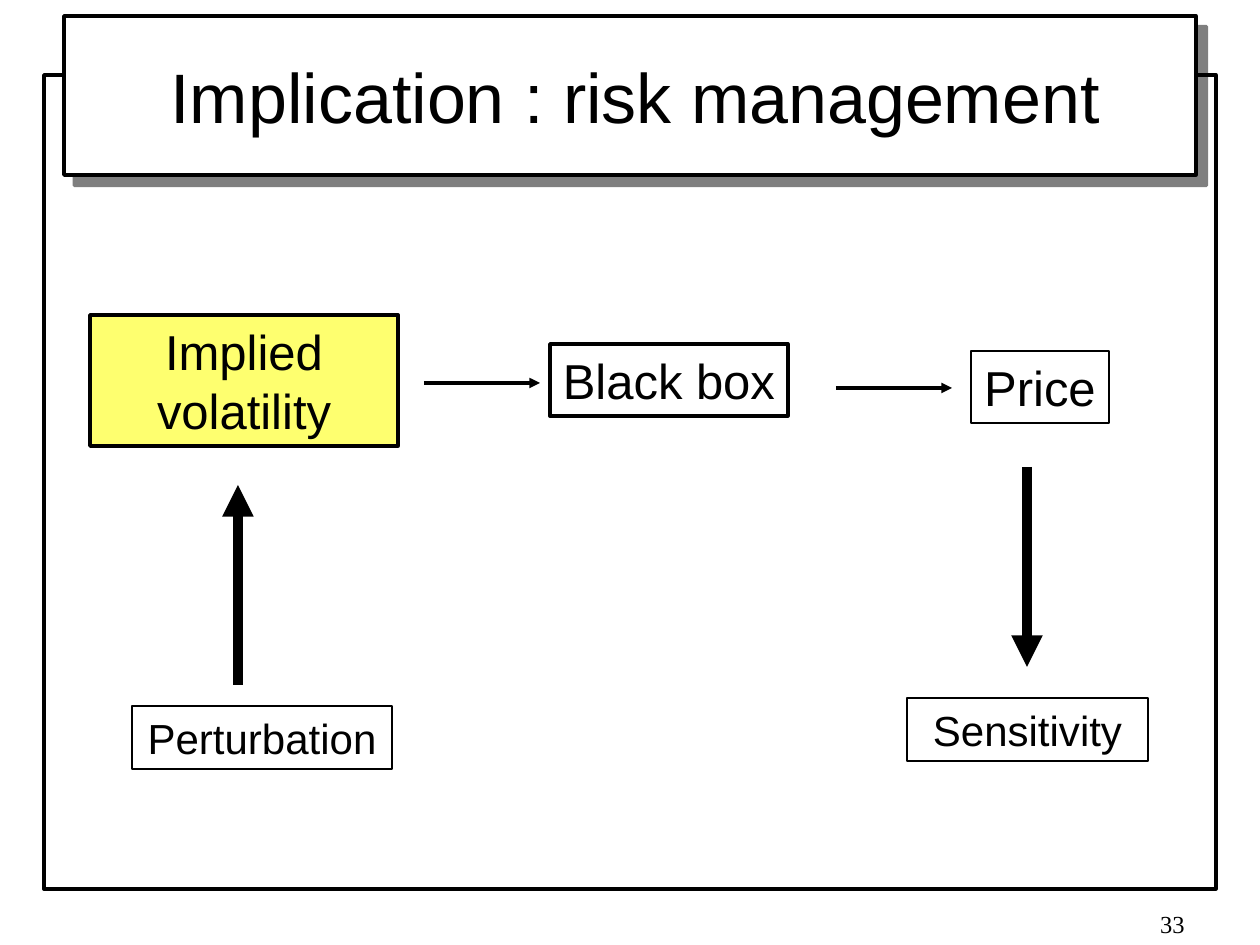
import pptx
import pptx.dml.color
import pptx.enum.shapes
import pptx.enum.text
import pptx.oxml
import pptx.oxml.ns
import pptx.util
import lxml.etree

BLACK = pptx.dml.color.RGBColor(0x00, 0x00, 0x00)
WHITE = pptx.dml.color.RGBColor(0xFF, 0xFF, 0xFF)
YELLOW = pptx.dml.color.RGBColor(0xFE, 0xFF, 0x6F)
ALIGN = pptx.enum.text.PP_ALIGN
ANCHOR = pptx.enum.text.MSO_ANCHOR
THIN, MID, THICK = 0.75, 2, 6


def emu(px):
    """Turn pixels into EMU."""
    return pptx.util.Emu(round(px * 914400 / 126))


class Deck:
    """Holds the style and the current slide."""

    def __init__(self, wide, high, font):
        """Start a deck with one blank slide."""
        self.font = font
        self.prs = pptx.Presentation()
        self.prs.slide_width = emu(wide)
        self.prs.slide_height = emu(high)
        self.slide = self.prs.slides.add_slide(self.prs.slide_layouts[6])

    def fill_text(self, shape, text, size, align=ALIGN.CENTER,
                  anchor=ANCHOR.TOP, font=None, wrap=True):
        """Put styled text in a shape."""
        frame = shape.text_frame
        frame.text = text
        frame.word_wrap = wrap
        frame.vertical_anchor = anchor
        para = frame.paragraphs[0]
        para.alignment = align
        style = para.runs[0].font
        style.name = font or self.font
        style.size = pptx.util.Pt(size)
        style.color.rgb = BLACK

    def rect(self, x, y, w, h, line, fill=None):
        """Draw an outlined rectangle."""
        shape = self.slide.shapes.add_shape(
            pptx.enum.shapes.MSO_SHAPE.RECTANGLE,
            emu(x), emu(y), emu(w), emu(h))
        shape.shadow.inherit = False
        if fill is None:
            shape.fill.background()
        else:
            shape.fill.solid()
            shape.fill.fore_color.rgb = fill
        shape.line.color.rgb = BLACK
        shape.line.width = pptx.util.Pt(line)
        return shape

    def shade(self, shape):
        """Cast a half-clear shadow down and right."""
        effects = shape._element.spPr.find(pptx.oxml.ns.qn("a:effectLst"))
        effects.append(pptx.oxml.parse_xml(
            '<a:outerShdw xmlns:a="http://schemas.openxmlformats.org/'
            'drawingml/2006/main" dist="107950" dir="2700000" algn="ctr" '
            'rotWithShape="0"><a:srgbClr val="000000">'
            '<a:alpha val="50000"/></a:srgbClr></a:outerShdw>'))

    def label(self, x, y, w, h, text, size, **style):
        """Add a text box."""
        box = self.slide.shapes.add_textbox(emu(x), emu(y), emu(w), emu(h))
        self.fill_text(box, text, size, **style)

    def arrow(self, x1, y1, x2, y2, line):
        """Draw a line with an arrowhead at its end."""
        link = self.slide.shapes.add_connector(
            pptx.enum.shapes.MSO_CONNECTOR.STRAIGHT,
            emu(x1), emu(y1), emu(x2), emu(y2))
        link.line.color.rgb = BLACK
        link.line.width = pptx.util.Pt(line)
        qn = pptx.oxml.ns.qn
        lxml.etree.SubElement(link.line._get_or_add_ln(), qn("a:tailEnd"),
                              type="triangle")
        lxml.etree.SubElement(link._element.spPr, qn("a:effectLst"))


def main():
    """Build the slide."""
    deck = Deck(1260, 945, "Arial")
    deck.rect(44, 75, 1172, 814, MID)
    deck.shade(deck.rect(64, 16, 1132, 159, MID, WHITE))
    deck.label(84, 16, 1102, 158, "Implication : risk management", 40,
               anchor=ANCHOR.MIDDLE)

    boxes = [
        (90, 315, 308, 131, "Implied volatility", 28, MID, YELLOW, True),
        (550, 344, 238, 72, "Black box", 28, MID, None, False),
        (971, 351, 138, 72, "Price", 28, THIN, None, False),
        (132, 706, 260, 63, "Perturbation", 24, THIN, None, True),
        (907, 698, 241, 63, "Sensitivity", 24, THIN, None, True),
    ]
    for x, y, w, h, text, size, line, fill, wrap in boxes:
        box = deck.rect(x, y, w, h, line, fill)
        deck.fill_text(box, text, size, wrap=wrap)

    arrows = [
        (424, 383, 540, 383, MID),
        (836, 388, 952, 388, MID),
        (238, 685, 238, 485, THICK),
        (1027, 467, 1027, 667, THICK),
    ]
    for ends in arrows:
        deck.arrow(*ends)

    deck.label(903, 903, 294, 42, "33", 14, align=ALIGN.RIGHT,
               font="Times New Roman")
    deck.prs.save("out.pptx")


main()
